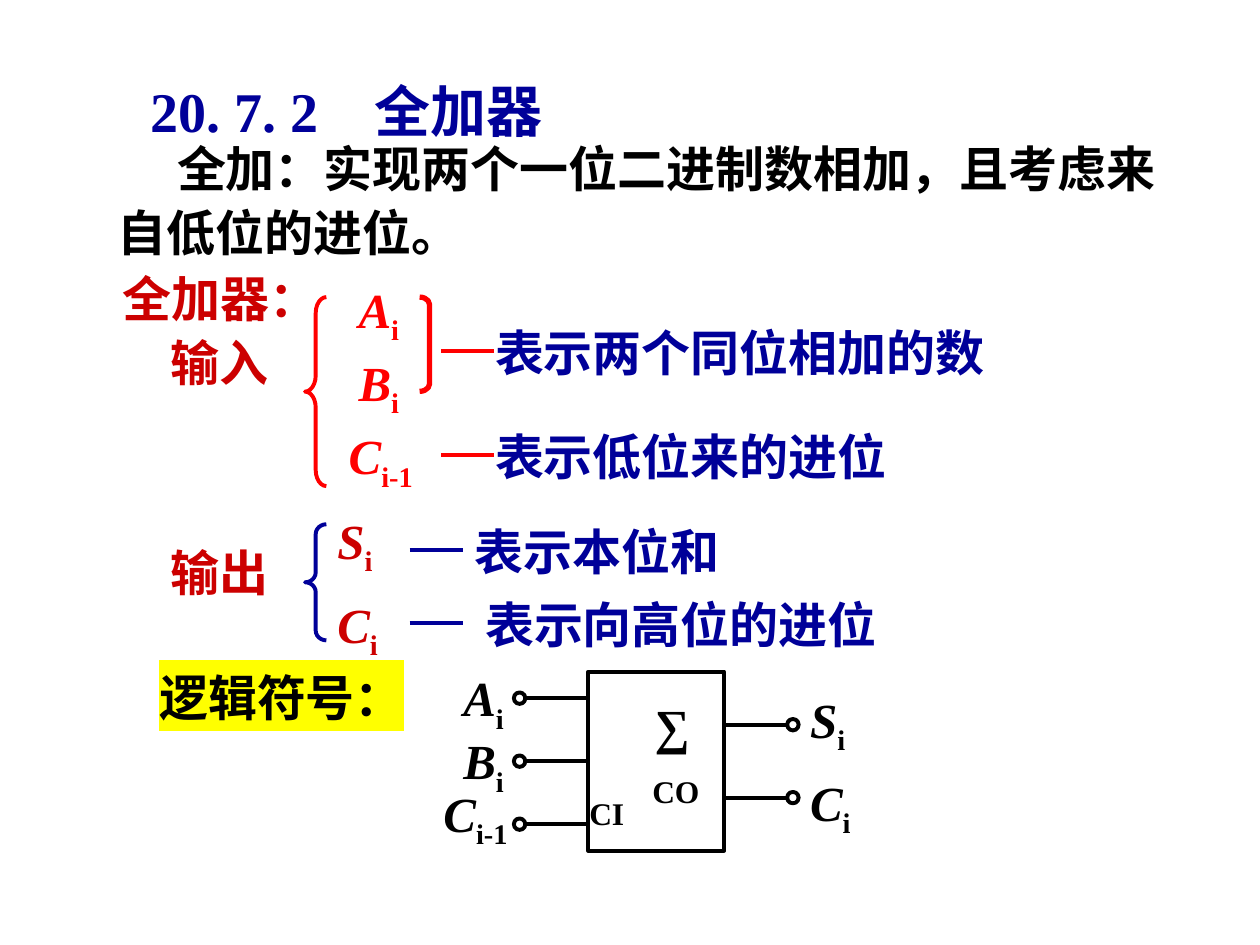
from dataclasses import dataclass

from lxml import etree
from pptx import Presentation
from pptx.dml.color import RGBColor
from pptx.enum.shapes import MSO_CONNECTOR, MSO_SHAPE
from pptx.enum.text import MSO_ANCHOR, MSO_AUTO_SIZE, PP_ALIGN
from pptx.oxml.ns import qn
from pptx.util import Cm, Pt

STRAIGHT = MSO_CONNECTOR.STRAIGHT
RECTANGLE, OVAL = MSO_SHAPE.RECTANGLE, MSO_SHAPE.OVAL
LEFT_BRACE, RIGHT_BRACKET = MSO_SHAPE.LEFT_BRACE, MSO_SHAPE.RIGHT_BRACKET
CENTER, MIDDLE = PP_ALIGN.CENTER, MSO_ANCHOR.MIDDLE
FIT_SHAPE = MSO_AUTO_SIZE.SHAPE_TO_FIT_TEXT
LEFT_SIDE = 1


@dataclass(frozen=True)
class Theme:
    font: str = "Times New Roman"
    navy: str = "000099"
    crimson: str = "CC0000"
    red: str = "FF0000"
    black: str = "000000"
    yellow: str = "FFFF00"
    title: int = 32
    body: int = 28
    pin: int = 18
    line: float = 2.25
    bracket_line: float = 3


THEME = Theme()
LABEL_HEIGHT = 1.45


def add_text(shapes, box, text, color, size=THEME.body, wrap=False):
    frame = shapes.add_textbox(*map(Cm, box)).text_frame
    frame.word_wrap = wrap
    frame.auto_size = FIT_SHAPE
    paragraph = frame.paragraphs[0]
    paragraph.add_run().text = text
    font = paragraph.font
    font.name, font.size, font.bold = THEME.font, Pt(size), True
    font.color.rgb = RGBColor.from_string(color)
    return frame


def add_term(shapes, left, top, term, color):
    symbol, index = term
    width = 1.9 if len(index) > 1 else 1.35
    frame = add_text(shapes, (left, top, width, LABEL_HEIGHT), symbol, color)
    paragraph = frame.paragraphs[0]
    paragraph.runs[0].font.italic = True
    subscript = paragraph.add_run()
    subscript.text = index
    subscript._r.get_or_add_rPr().set("baseline", "-25000")


def add_outline(shapes, kind, box, color, width=THEME.line, adjustments=()):
    outline = shapes.add_shape(kind, *map(Cm, box))
    outline.shadow.inherit = False
    outline.fill.background()
    outline.line.color.rgb = RGBColor.from_string(color)
    outline.line.width = Pt(width)
    for position, value in enumerate(adjustments):
        outline.adjustments[position] = value
    return outline


def add_wire(shapes, left, right, y, color):
    wire = shapes.add_connector(STRAIGHT, Cm(left), Cm(y), Cm(right), Cm(y))
    wire.line.color.rgb = RGBColor.from_string(color)
    wire.line.width = Pt(THEME.line)
    etree.SubElement(wire._element.spPr, qn("a:effectLst"))
    return wire


def add_heading(shapes, box):
    frame = add_text(shapes, box, "20. 7. 2　全加器", THEME.navy, THEME.title, wrap=True)
    frame.auto_size = MSO_AUTO_SIZE.NONE
    frame.vertical_anchor = MIDDLE
    frame.paragraphs[0].alignment = CENTER


def add_indented(shapes, box, text, color, indent, line_spacing=1.0):
    paragraph = add_text(shapes, box, text, color, wrap=True).paragraphs[0]
    paragraph.line_spacing = line_spacing
    paragraph._p.get_or_add_pPr().set("indent", str(Cm(indent)))


def add_symbol_caption(shapes, box):
    frame = add_text(shapes, box, "逻辑符号：", THEME.black)
    properties = frame.paragraphs[0].runs[0]._r.get_or_add_rPr()
    highlight = etree.SubElement(properties, qn("a:highlight"))
    etree.SubElement(highlight, qn("a:srgbClr")).set("val", THEME.yellow)


def add_signals(shapes, box, label, label_top, terms, term_color,
                brace, brace_curve, line_color, wire_left, meanings):
    left, top, width, height = box
    add_text(shapes, (left, top + label_top, 2.49, LABEL_HEIGHT), label, THEME.crimson)
    brace_top, brace_height = brace
    add_outline(shapes, LEFT_BRACE, (left + 2.97, top + brace_top, 0.43, brace_height),
                line_color, adjustments=(brace_curve, 0.5))
    for x, y, term in terms:
        add_term(shapes, left + x, top + y, term, term_color)
    for x, y, meaning in meanings:
        wire_x, wire_y = left + wire_left, top + y + 0.69
        add_wire(shapes, wire_x, wire_x + 1.07, wire_y, line_color)
        add_text(shapes, (left + x, top + y, width - x, LABEL_HEIGHT), meaning, THEME.navy)


def add_inputs(shapes, box):
    left, top = box[:2]
    add_outline(shapes, RIGHT_BRACKET, (left + 5.28, top + 0.48, 0.2, 1.9),
                THEME.red, THEME.bracket_line, (0.75,))
    add_signals(
        shapes, box, "输入", 1.07,
        [(3.8, 0, ("A", "i")), (3.8, 1.47, ("B", "i")), (3.6, 2.95, ("C", "i-1"))],
        THEME.red, (0.48, 3.81), 0.75, THEME.red, 5.71,
        [(6.55, 0.87, "表示两个同位相加的数"), (6.55, 2.97, "表示低位来的进位")])


def add_outputs(shapes, box):
    add_signals(
        shapes, box, "输出", 0.66,
        [(3.37, 0, ("S", "i")), (3.37, 1.7, ("C", "i"))],
        THEME.crimson, (0.41, 2.34), 0.46, THEME.navy, 5.08,
        [(6.14, 0.23, "表示本位和"), (6.35, 1.7, "表示向高位的进位")])


def add_logic_symbol(shapes, box):
    left, top = box[:2]
    black, diameter, wire_length = THEME.black, 0.23, 1.27
    body_left, body_top, body_width, body_height = left + 3.17, top + 0.2, 2.74, 3.61
    body_right, body_middle = body_left + body_width, body_top + body_height / 2
    body = add_outline(shapes, RECTANGLE,
                       (body_left, body_top, body_width, body_height), black)

    def add_terminal(terminal_left, y):
        add_outline(shapes, OVAL,
                    (terminal_left, y - diameter / 2, diameter, diameter), black)

    inputs = [(0.4, 0, ("A", "i")), (0.4, 1.27, ("B", "i")), (0, 2.33, ("C", "i-1"))]
    for row, (x, y, term) in enumerate(inputs):
        add_term(shapes, left + x, top + y, term, black)
        wire_y = body_middle + (row - 1) * 1.27
        wire_left = body_left - wire_length
        wire = add_wire(shapes, wire_left, body_left, wire_y, black)
        if row == 1:
            wire.end_connect(body, LEFT_SIDE)
        add_terminal(wire_left - diameter, wire_y)

    outputs = [(0.43, 1.27, ("S", "i")), (2.1, 2.74, ("C", "i"))]
    for y, wire_offset, term in outputs:
        add_term(shapes, left + 7.39, top + y, term, black)
        wire_y, wire_right = top + wire_offset, body_right + wire_length
        add_wire(shapes, body_right, wire_right, wire_y, black)
        add_terminal(wire_right, wire_y)

    for x, y, pin in [(4.21, 2.1, "CO"), (2.94, 2.54, "CI")]:
        add_text(shapes, (left + x, top + y, 1.78, LABEL_HEIGHT), pin, black,
                 THEME.pin, wrap=True)
    sum_box = (left + 4.01, top + 0.43, 1.7, 1.55)
    sum_sign = add_text(shapes, sum_box, "∑", black, wrap=True).paragraphs[0]
    sum_sign.alignment = CENTER
    sum_sign.line_spacing = 1.1


def main():
    deck = Presentation()
    deck.slide_width, deck.slide_height = Cm(25.4), Cm(19.05)
    shapes = deck.slides.add_slide(deck.slide_layouts[6]).shapes
    add_heading(shapes, (2.33, 1.27, 9.32, 1.9))
    add_inputs(shapes.add_group_shape().shapes, (3.18, 5.51, 17, 4.4))
    add_outputs(shapes.add_group_shape().shapes, (3.18, 10.16, 14.8, 3.15))
    add_indented(shapes, (2.12, 2.54, 21.8, 2.87),
                 "全加：实现两个一位二进制数相加，且考虑来自低位的进位。",
                 THEME.black, 1.2, 1.1)
    add_symbol_caption(shapes, (2.96, 13.34, 5.46, LABEL_HEIGHT))
    add_indented(shapes, (1.27, 5.29, 5.08, LABEL_HEIGHT), "全加器：", THEME.crimson, 0.95)
    add_logic_symbol(shapes.add_group_shape().shapes, (8.69, 13.34, 8.74, 3.81))
    deck.save("out.pptx")


if __name__ == "__main__":
    main()
